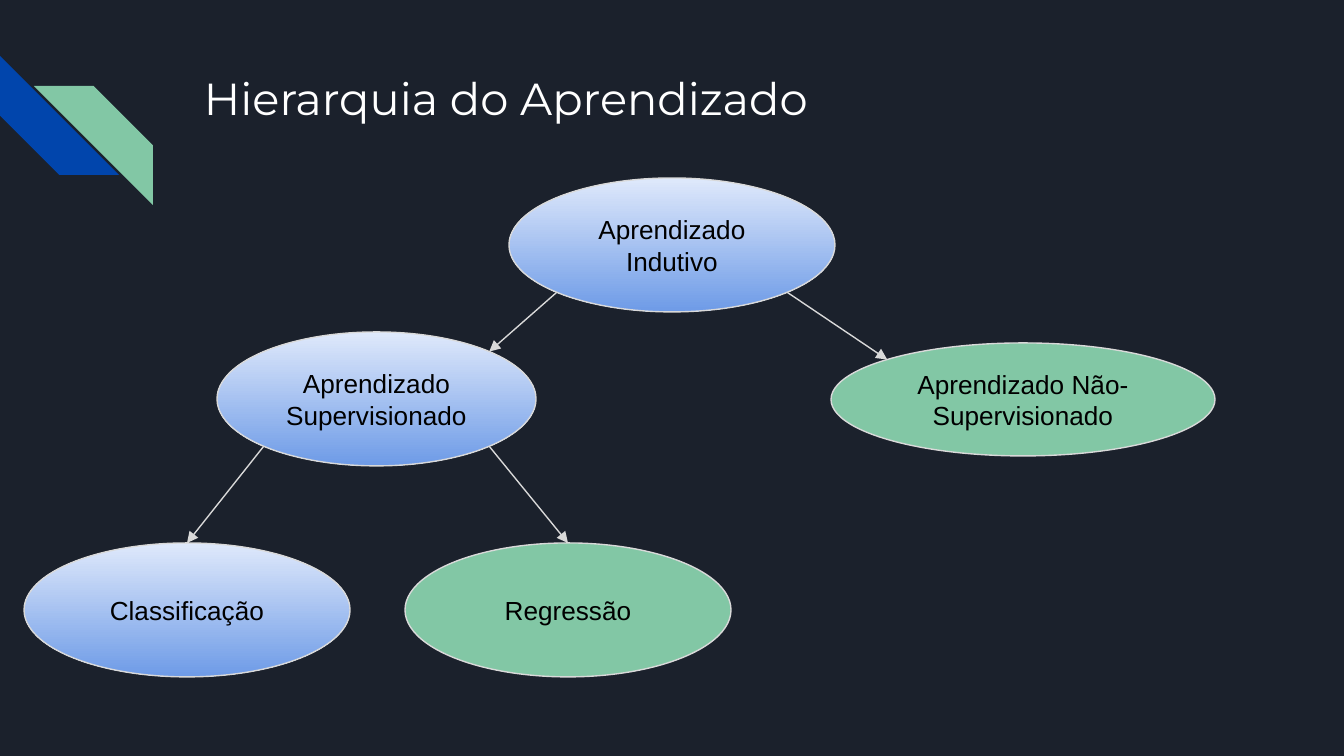
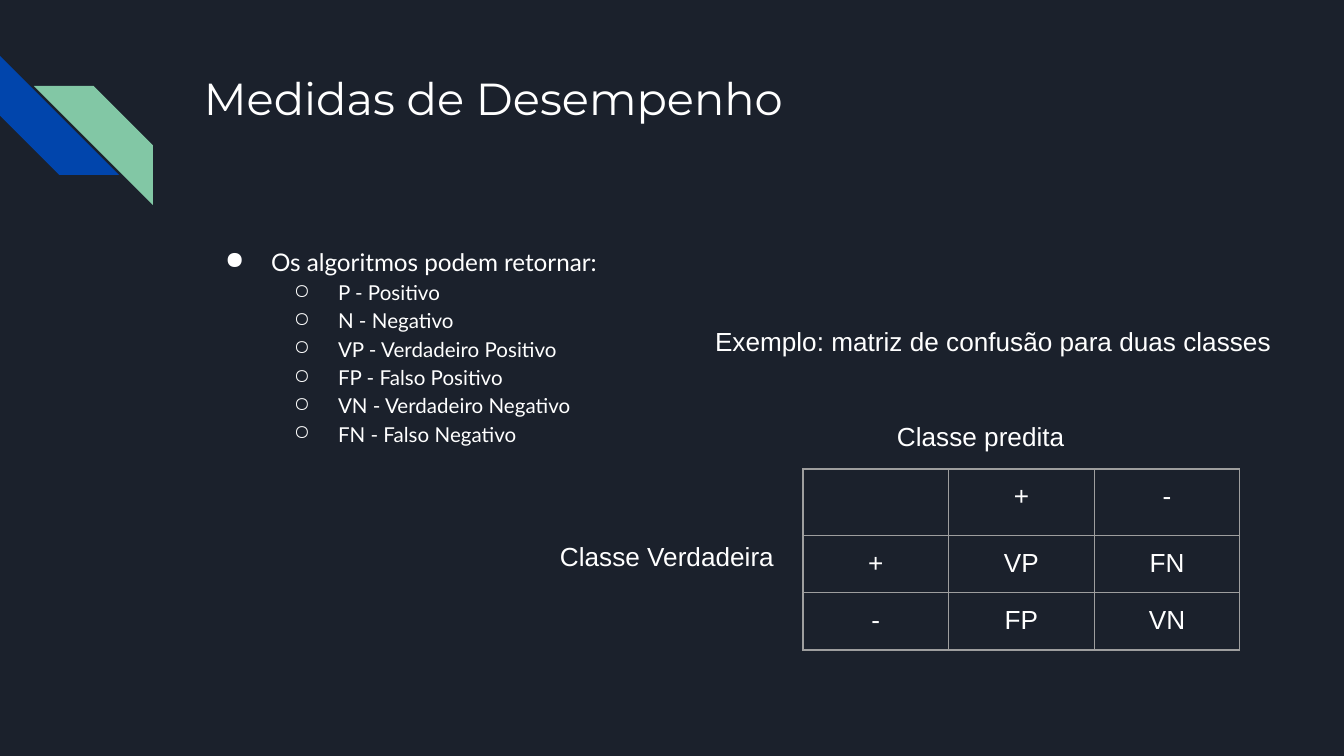
from math import sqrt

from pptx import Presentation
from pptx.dml.color import RGBColor
from pptx.enum.shapes import MSO_CONNECTOR, MSO_SHAPE
from pptx.enum.text import MSO_ANCHOR, PP_ALIGN
from pptx.oxml.ns import qn
from pptx.util import Emu, Pt
from lxml.etree import SubElement

COLORS = {
    "background": "1B212C",
    "blue": "0145AC",
    "green": "82C7A5",
    "white": "FFFFFF",
    "black": "000000",
    "outline": "D9D9D9",
    "grid": "9E9E9E",
    "gradient_top": "DFE9FB",
    "gradient_bottom": "6E9BE7",
}
WIDTH, HEIGHT = 1344, 756
INSET = 13
LINE = Pt(0.75)

NODES = {
    "Aprendizado Indutivo": (485, 0, 326, 134, "gradient"),
    "Aprendizado Supervisionado": (193, 154, 319, 134, "gradient"),
    "Aprendizado Não-Supervisionado": (807, 165, 384, 113, "green"),
    "Classificação": (0, 365, 326, 134, "gradient"),
    "Regressão": (381, 365, 326, 134, "green"),
}
BRANCHES = [
    ("Aprendizado Indutivo", "Aprendizado Supervisionado", -1, 1),
    ("Aprendizado Indutivo", "Aprendizado Não-Supervisionado", 1, -1),
    ("Aprendizado Supervisionado", "Classificação", -1, 0),
    ("Aprendizado Supervisionado", "Regressão", 1, 0),
]
OUTCOMES = [
    "P - Positivo",
    "N - Negativo",
    "VP - Verdadeiro Positivo",
    "FP - Falso Positivo",
    "VN - Verdadeiro Negativo",
    "FN - Falso Negativo",
]
MATRIX = [["", "+", "-"], ["+", "VP", "FN"], ["-", "FP", "VN"]]


def px(n):
    return Emu(round(n * 9144000 / WIDTH))


def rgb(name):
    return RGBColor.from_string(COLORS[name])


def style(p, size, font="Arial", color="white"):
    for r in p.runs:
        r.font.size = Pt(size)
        r.font.name = font
        r.font.color.rgb = rgb(color)


def set_insets(tf):
    tf.word_wrap = True
    tf.margin_left = tf.margin_right = px(INSET)
    tf.margin_top = tf.margin_bottom = px(INSET)


def add_text(slide, box, text, size=14, font="Arial"):
    tf = slide.shapes.add_textbox(*map(px, box)).text_frame
    set_insets(tf)
    tf.text = text
    style(tf.paragraphs[0], size, font)
    return tf


def add_stripe(slide, box, color):
    sp = slide.shapes.add_shape(MSO_SHAPE.DIAGONAL_STRIPE, *map(px, box))
    sp.shadow.inherit = False
    sp.fill.solid()
    sp.fill.fore_color.rgb = rgb(color)
    sp.line.fill.background()
    return sp


def add_base(prs, title):
    slide = prs.slides.add_slide(prs.slide_layouts[6])
    slide.background.fill.solid()
    slide.background.fill.fore_color.rgb = rgb("background")
    add_stripe(slide, (0, 56, 119, 119), "blue").rotation = 270
    green = add_stripe(slide, (34, 86, 119, 119), "green")
    green._element.spPr.get_or_add_xfrm().set("flipH", "1")
    add_text(slide, (191, 58, 1035, 134), title, 24, "Montserrat")
    return slide


def add_node(slide, box, text, fill):
    sp = slide.shapes.add_shape(MSO_SHAPE.OVAL, *map(px, box))
    sp.shadow.inherit = False
    if fill == "gradient":
        sp.fill.gradient()
        sp.fill.gradient_angle = 270
        for stop, name in zip(sp.fill.gradient_stops, ("gradient_top", "gradient_bottom")):
            stop.color.rgb = rgb(name)
    else:
        sp.fill.solid()
        sp.fill.fore_color.rgb = rgb(fill)
    sp.line.color.rgb = rgb("outline")
    sp.line.width = LINE
    tf = sp.text_frame
    set_insets(tf)
    tf.vertical_anchor = MSO_ANCHOR.MIDDLE
    tf.text = text
    p = tf.paragraphs[0]
    p.alignment = PP_ALIGN.CENTER
    style(p, 14, color="black")
    return sp


def rim_point(sp, side, half):
    dx = side * sp.width / 2 / sqrt(2)
    dy = half * sp.height / 2 / (sqrt(2) if side else 1)
    return Emu(round(sp.left + sp.width / 2 + dx)), Emu(round(sp.top + sp.height / 2 + dy))


def add_branch(slide, parent, child, start_side, end_side):
    start = rim_point(parent, start_side, 1)
    end = rim_point(child, end_side, -1)
    cx = slide.shapes.add_connector(MSO_CONNECTOR.STRAIGHT, *start, *end)
    if end_side == 0:
        cx.end_connect(child, 0)
    cx.line.color.rgb = rgb("outline")
    cx.line.width = LINE
    SubElement(cx.line._get_or_add_ln(), qn("a:tailEnd"), type="triangle")
    SubElement(cx._element.spPr, qn("a:effectLst"))


def add_hierarchy(slide, x, y):
    nodes = {
        text: add_node(slide, (x + dx, y + dy, w, h), text, fill)
        for text, (dx, dy, w, h, fill) in NODES.items()
    }
    for parent, child, start_side, end_side in BRANCHES:
        add_branch(slide, nodes[parent], nodes[child], start_side, end_side)


def set_bullet(p, char, left, hanging):
    p.line_spacing = 1.15
    pPr = p._p.get_or_add_pPr()
    pPr.set("marL", str(px(left)))
    pPr.set("indent", str(px(-hanging)))
    color = SubElement(pPr, qn("a:buClr"))
    SubElement(color, qn("a:srgbClr"), val=COLORS["white"])
    SubElement(pPr, qn("a:buChar"), char=char)


def add_outcomes(slide, box):
    tf = add_text(slide, box, "Os algoritmos podem retornar:", 13, "Lato")
    set_bullet(tf.paragraphs[0], "●", 67, 46)
    for outcome in OUTCOMES:
        p = tf.add_paragraph()
        p.text = outcome
        p.level = 1
        set_bullet(p, "○", 134, 44)
        style(p, 11, "Lato")


def set_borders(cell):
    tcPr = cell._tc.get_or_add_tcPr()
    for i, side in enumerate(("lnL", "lnR", "lnT", "lnB")):
        ln = tcPr.makeelement(qn(f"a:{side}"), {"w": str(LINE)})
        fill = SubElement(ln, qn("a:solidFill"))
        SubElement(fill, qn("a:srgbClr"), val=COLORS["grid"])
        tcPr.insert(i, ln)


def add_matrix(slide, box):
    table = slide.shapes.add_table(3, 3, *map(px, box)).table
    table.first_row = table.horz_banding = False
    for row, texts in zip(table.rows, MATRIX):
        for cell, text in zip(row.cells, texts):
            cell.fill.background()
            cell.margin_left = cell.margin_right = px(INSET)
            cell.margin_top = cell.margin_bottom = px(INSET)
            set_borders(cell)
            if text:
                cell.text = text
                p = cell.text_frame.paragraphs[0]
                p.alignment = PP_ALIGN.CENTER
                style(p, 14)


def add_confusion_example(slide, x, y):
    add_matrix(slide, (x + 256, y + 157, 437, 168))
    add_text(slide, (x + 155, y, 586, 66), "Exemplo: matriz de confusão para duas classes")
    add_text(slide, (x + 337, y + 95, 220, 55), "Classe predita")
    add_text(slide, (x, y + 215, 249, 55), "Classe Verdadeira")


def main():
    prs = Presentation()
    prs.slide_width, prs.slide_height = px(WIDTH), px(HEIGHT)

    slide = add_base(prs, "Hierarquia do Aprendizado")
    add_hierarchy(slide, 24, 178)

    slide = add_base(prs, "Medidas de Desempenho")
    add_outcomes(slide, (191, 230, 586, 258))
    add_confusion_example(slide, 547, 312)

    prs.save("out.pptx")


if __name__ == "__main__":
    main()
